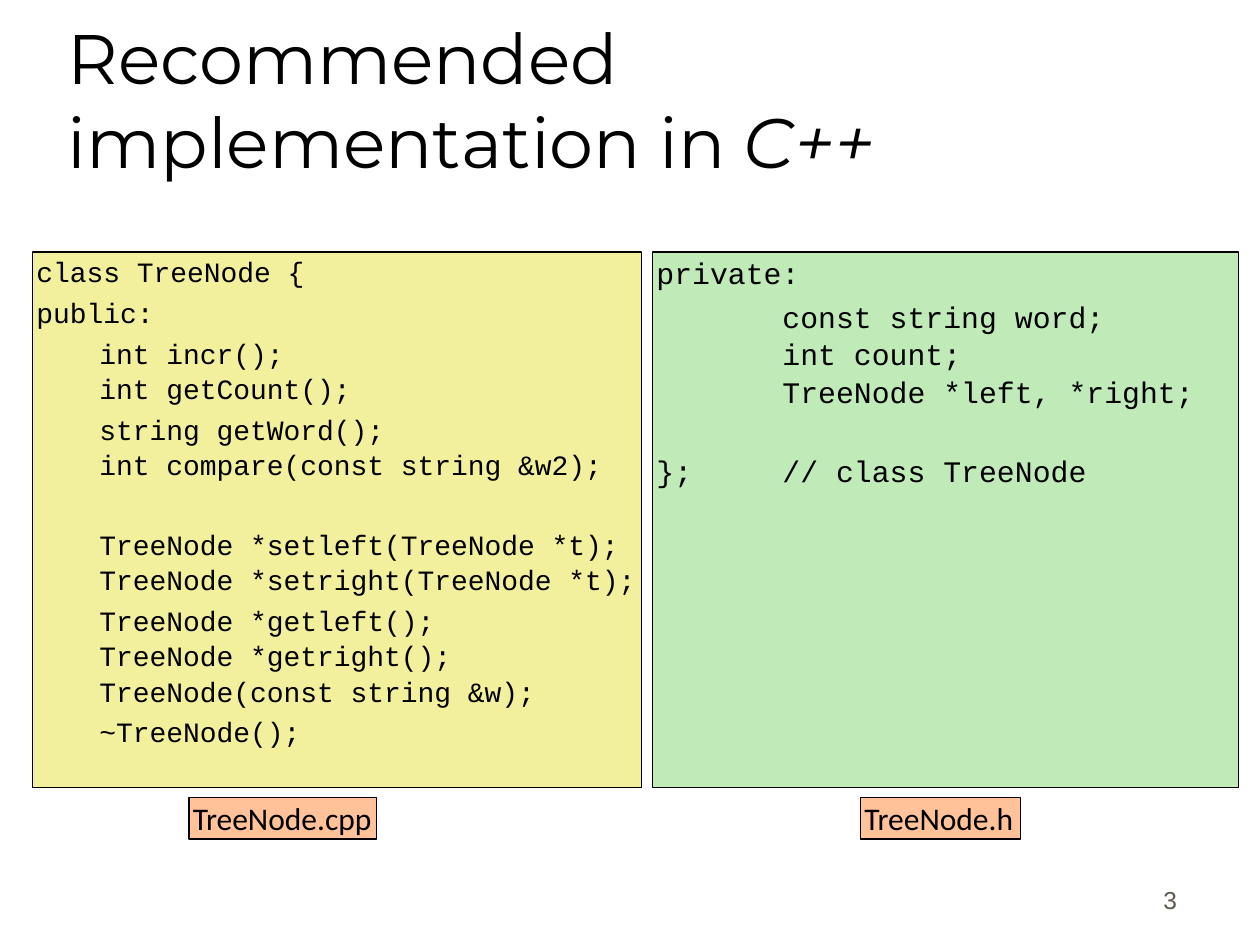
"""Build the slide on the recommended TreeNode implementation in C++."""
from lxml import etree
from pptx import Presentation
from pptx.dml.color import RGBColor
from pptx.enum.shapes import MSO_SHAPE
from pptx.enum.text import MSO_ANCHOR, PP_ALIGN
from pptx.oxml.ns import qn
from pptx.util import Inches, Pt

COLORS = {"text": "000000", "number": "5E574E", "cpp": "F2F09C",
          "header": "C0EAB8", "label": "FFC299"}

prs = Presentation()
prs.slide_width, prs.slide_height = Inches(10), Inches(7.5)
slide = prs.slides.add_slide(prs.slide_layouts[6])


def add_run(paragraph, text, size, font, color="text", italic=False):
    paragraph.add_run().text = text
    run_font = paragraph.runs[-1].font
    run_font.size, run_font.name, run_font.italic = Pt(size), font, italic
    run_font.color.rgb = RGBColor.from_string(COLORS[color])


def add_box(left, top, width, height, color, anchor):
    box = slide.shapes.add_shape(MSO_SHAPE.RECTANGLE, Inches(left), Inches(top),
                                 Inches(width), Inches(height))
    box.shadow.inherit = False
    box.fill.solid()
    box.fill.fore_color.rgb = RGBColor.from_string(COLORS[color])
    box.line.color.rgb = RGBColor.from_string(COLORS["text"])
    box.line.width = Pt(0.75)
    frame = box.text_frame
    frame.margin_left = frame.margin_right = Inches(0.03)
    frame.margin_top = frame.margin_bottom = Inches(0.01)
    frame.vertical_anchor = anchor
    return frame


title = slide.shapes.add_textbox(Inches(0.44), Inches(0.25), Inches(8.5), Inches(1.25)).text_frame
title.word_wrap = True
title.vertical_anchor = MSO_ANCHOR.BOTTOM
add_run(title.paragraphs[0], "Recommended implementation in ", 40, "Montserrat")
add_run(title.paragraphs[0], "C++", 40, "Montserrat", italic=True)

number = slide.shapes.add_textbox(Inches(7.36), Inches(6.81), Inches(2.08), Inches(0.5)).text_frame
number.word_wrap = True
number.vertical_anchor = MSO_ANCHOR.BOTTOM
number.paragraphs[0].alignment = PP_ALIGN.RIGHT
add_run(number.paragraphs[0], "3", 14, "Arial", "number")

cpp_code = [
    (3.2, ["class TreeNode {"]),
    (3.2, ["public:"]),
    (3.2, ["\tint incr();", "\tint getCount();"]),
    (3.2, ["\tstring getWord();", "\tint compare(const string &w2);"]),
    (25.5, ["\tTreeNode *setleft(TreeNode *t);", "\tTreeNode *setright(TreeNode *t);"]),
    (3.2, ["\tTreeNode *getleft();", "\tTreeNode *getright();", "\tTreeNode(const string &w);"]),
    (3.2, ["\t~TreeNode();"]),
]
header_code = [
    (3.4, ["private:"]),
    (3.4, ["\tconst string word;", "\tint count;", "\tTreeNode *left, *right;"]),
    (23.7, ["};\t// class TreeNode"]),
]
panels = [(0.26, 4.83, "cpp", 16, 0.5, cpp_code),
          (5.18, 4.65, "header", 17, 1, header_code)]
for left, width, color, size, tab, code in panels:
    frame = add_box(left, 2, width, 4.25, color, MSO_ANCHOR.TOP)
    frame.word_wrap = True
    for index, (space, lines) in enumerate(code):
        paragraph = frame.paragraphs[0] if index == 0 else frame.add_paragraph()
        paragraph.alignment = PP_ALIGN.LEFT
        paragraph.line_spacing = 1.05
        paragraph.space_before = Pt(space)
        tabs = etree.SubElement(paragraph._p.get_or_add_pPr(), qn("a:tabLst"))
        etree.SubElement(tabs, qn("a:tab"), pos=str(Inches(tab)), algn="l")
        for row, line in enumerate(lines):
            if row:
                paragraph.add_line_break()
            add_run(paragraph, line, size, "Courier New")

for left, width, name in [(1.5, 1.49, "TreeNode.cpp"), (6.83, 1.27, "TreeNode.h")]:
    label = add_box(left, 6.33, width, 0.33, "label", MSO_ANCHOR.MIDDLE)
    label.word_wrap = False
    label.paragraphs[0].alignment = PP_ALIGN.LEFT
    add_run(label.paragraphs[0], name, 18, "Calibri")

prs.save("out.pptx")
